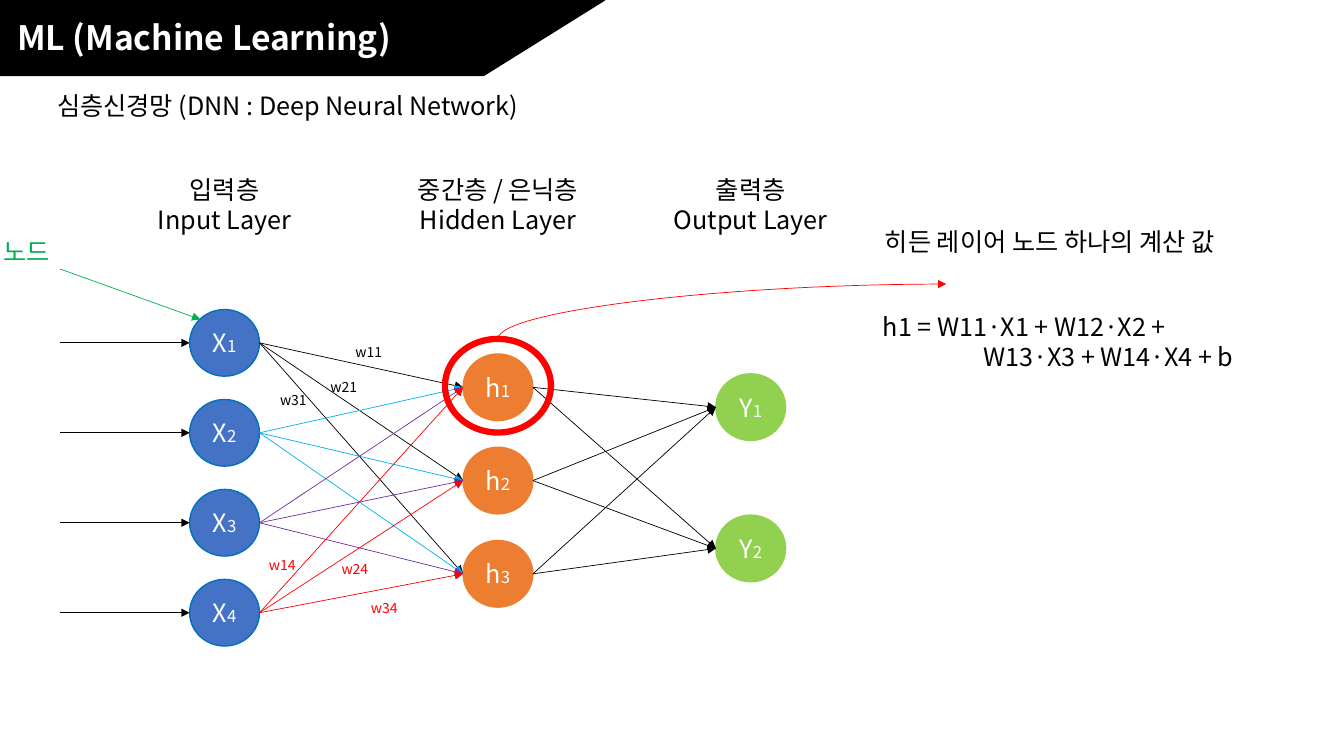
from collections import namedtuple
from itertools import product

from pptx import Presentation
from pptx.dml.color import RGBColor
from pptx.enum.shapes import MSO_CONNECTOR as LINK, MSO_SHAPE as SHAPE
from pptx.enum.text import MSO_ANCHOR as ANCHOR, MSO_AUTO_SIZE as AUTO, PP_ALIGN as ALIGN
from pptx.oxml.ns import qn
from pptx.util import Cm, Pt

Box = namedtuple("Box", "left top width height")
FONT = "Noto Sans CJK KR"
BLACK, WHITE, RED, GREEN = "000000", "FFFFFF", "FF0000", "00B050"
NODE_WIDTH, NODE_HEIGHT = 1.76, 1.68


def color(hex_code):
    return RGBColor.from_string(hex_code)


def set_format(target, values):
    for name, value in values.items():
        setattr(target, name, value)


def add_runs(paragraph, runs, hex_code, align, bold=None):
    paragraph.alignment = align
    for words, size in runs:
        run = paragraph.add_run()
        run.text = words
        set_format(run.font, {"size": Pt(size), "name": FONT, "bold": bold})
        run.font.color.rgb = color(hex_code)
        east_asian = run.font._element.makeelement(qn("a:ea"), {"typeface": FONT})
        run.font._element.append(east_asian)


def add_text(slide, box, lines, size=18, hex_code=BLACK, align=ALIGN.CENTER, bold=None):
    frame = slide.shapes.add_textbox(*map(Cm, box)).text_frame
    set_format(frame, {"word_wrap": True, "auto_size": AUTO.SHAPE_TO_FIT_TEXT})
    for index, line in enumerate(lines):
        paragraph = frame.add_paragraph() if index else frame.paragraphs[0]
        add_runs(paragraph, [(line, size)], hex_code, align, bold)
    return frame


def add_form(slide, kind, box, fill, outline, weight=1):
    form = slide.shapes.add_shape(kind, *map(Cm, box))
    form.shadow.inherit = False
    if fill:
        form.fill.solid()
        form.fill.fore_color.rgb = color(fill)
    else:
        form.fill.background()
    form.line.color.rgb = color(outline)
    form.line.width = Pt(weight)
    return form


def add_arrow(slide, start, end, hex_code, kind=LINK.STRAIGHT):
    arrow = slide.shapes.add_connector(kind, *start, *end)
    arrow.line.color.rgb = color(hex_code)
    arrow.line.width = Pt(0.5)
    outline = arrow.line._get_or_add_ln()
    outline.append(outline.makeelement(qn("a:tailEnd"), {"type": "triangle"}))
    properties = arrow._element.spPr
    properties.append(properties.makeelement(qn("a:effectLst"), {}))
    return arrow


def left_side(node):
    return node.left, node.top + node.height // 2


def right_side(node):
    return node.left + node.width, node.top + node.height // 2


def draw_title(slide, box):
    add_form(slide, SHAPE.RECTANGLE, box._replace(width=5.03), BLACK, BLACK)
    add_form(slide, SHAPE.FLOWCHART_DATA, box, BLACK, BLACK)
    heading = Box(box.left + 0.18, box.top + 0.31, 10.3, 1.28)
    add_text(slide, heading, ["ML (Machine Learning)"], 24, WHITE, ALIGN.LEFT, True)


def draw_layer(slide, box, heading, symbol, count, first_drop, fill, outline):
    add_text(slide, box._replace(height=1.8), heading)
    left = box.left + (box.width - NODE_WIDTH) / 2
    pitch = (box.height - first_drop - NODE_HEIGHT) / (count - 1)
    nodes = []
    for index in range(count):
        place = Box(left, box.top + first_drop + index * pitch, NODE_WIDTH, NODE_HEIGHT)
        node = add_form(slide, SHAPE.OVAL, place, fill, outline)
        node.text_frame.vertical_anchor = ANCHOR.MIDDLE
        runs = [(symbol, 18), (str(index + 1), 12)]
        add_runs(node.text_frame.paragraphs[0], runs, WHITE, ALIGN.CENTER)
        nodes.append(node)
    return nodes


def draw_links(slide, sources, targets, colors):
    for (source, hex_code), target in product(zip(sources, colors), targets):
        add_arrow(slide, right_side(source), left_side(target), hex_code)


def draw_inputs(slide, box, nodes):
    add_text(slide, Box(box.left - 2.59, box.top, 3.48, 1.02), ["노드"], hex_code=GREEN)
    start = Cm(box.left), Cm(box.top + 0.94)
    add_arrow(slide, start, (Cm(box.left + 3.53), Cm(box.top + 2.21)), GREEN)
    for node in nodes:
        end = left_side(node)
        add_arrow(slide, (Cm(box.left), end[1]), end, BLACK)


def draw_weights(slide, box):
    weights = [
        ("w11", 2.18, 0, BLACK), ("w21", 1.55, 0.89, BLACK), ("w31", 0.28, 1.22, BLACK),
        ("w14", 0, 5.36, RED), ("w24", 1.83, 5.46, RED), ("w34", 2.57, 6.45, RED),
    ]
    for name, across, down, hex_code in weights:
        add_text(slide, Box(box.left + across, box.top + down, 1.27, 0.69), [name], 10, hex_code)


def draw_formula(slide, box, hidden_node):
    ring = add_form(slide, SHAPE.OVAL, Box(11.25, 8.53, 2.67, 2.36), None, RED, 4.5)
    set_format(ring, {
        "left": hidden_node.left + (hidden_node.width - ring.width) // 2,
        "top": hidden_node.top + (hidden_node.height - ring.height) // 2 - Cm(0.04),
    })
    start_x, start_y = ring.left + ring.width // 2, ring.top
    end_x, end_y = Cm(box.left + 1.85), Cm(box.top + 1.57)
    middle_x, middle_y = (start_x + end_x) // 2, (start_y + end_y) // 2
    half_run, half_rise = (end_x - start_x) // 2, (start_y - end_y) // 2
    curve = add_arrow(
        slide, (middle_x + half_rise, middle_y + half_run),
        (middle_x - half_rise, middle_y - half_run), RED, LINK.CURVE)
    curve._element.spPr.find(qn("a:prstGeom")).set("prst", "curvedConnector2")
    curve._element.spPr.find(qn("a:xfrm")).set("rot", "5400000")

    caption = Box(box.left + 0.05, box.top, 9.93, 1.02)
    add_text(slide, caption, ["히든 레이어 노드 하나의 계산 값"], align=ALIGN.LEFT)
    terms = ["h1 = W11·X1 + W12·X2 +", "W13·X3 + W14·X4 + b"]
    formula = add_text(
        slide, Box(box.left, box.top + 2.13, box.width, 1.8), terms, align=ALIGN.LEFT)
    formula.paragraphs[1]._p.get_or_add_pPr().set("marL", str(Cm(2.54)))


def draw_network(slide, box):
    inputs = draw_layer(
        slide, Box(box.left + 1.83, box.top, 4.62, 12.01),
        ["입력층", "Input Layer"], "X", 4, 3.53, "4472C4", "0070C0")
    hidden = draw_layer(
        slide, Box(box.left + 8.38, box.top, 5.3, 11.03),
        ["중간층 / 은닉층", "Hidden Layer"], "h", 3, 4.65, "ED7D31", "ED7D31")
    outputs = draw_layer(
        slide, Box(box.left + 15.09, box.top, 4.62, 10.39),
        ["출력층", "Output Layer"], "Y", 2, 5.15, "92D050", "92D050")
    draw_inputs(slide, Box(box.left, box.top + 1.57, 3.53, 10), inputs)
    draw_links(slide, inputs, hidden, [BLACK, "00B0F0", "7030A0", RED])
    draw_links(slide, hidden, outputs, [BLACK] * 3)
    draw_weights(slide, Box(box.left + 4.96, box.top + 4.26, 4, 7.14))
    return hidden


def main():
    deck = Presentation()
    set_format(deck, {"slide_width": Cm(33.87), "slide_height": Cm(19.05)})
    slide = deck.slides.add_slide(deck.slide_layouts[6])
    draw_title(slide, Box(0, 0, 15.24, 1.9))
    subtitle = ["심층신경망 (DNN : Deep Neural Network)"]
    add_text(slide, Box(1.19, 2.16, 29.29, 1.02), subtitle, align=ALIGN.LEFT)
    hidden = draw_network(slide, Box(1.52, 4.27, 19.71, 12.01))
    draw_formula(slide, Box(22, 5.59, 11.87, 3.93), hidden[0])
    deck.save("out.pptx")


if __name__ == "__main__":
    main()
